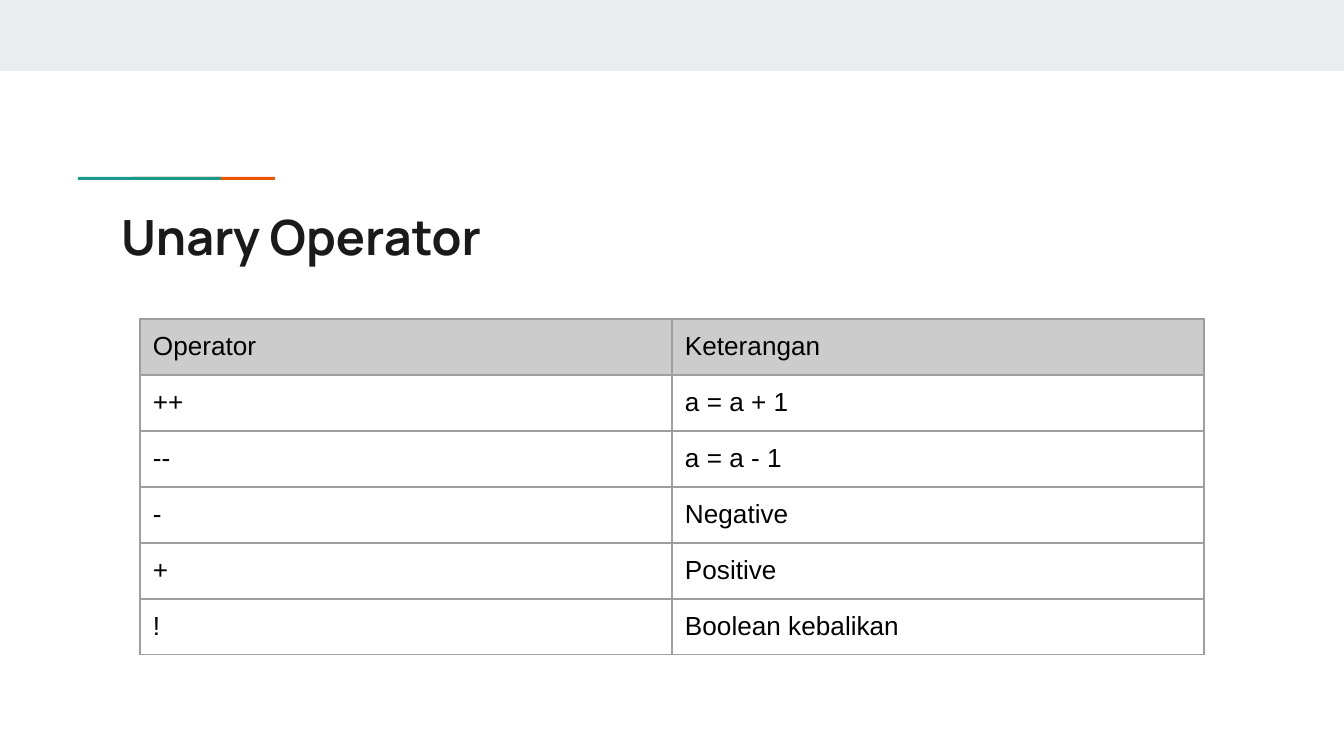
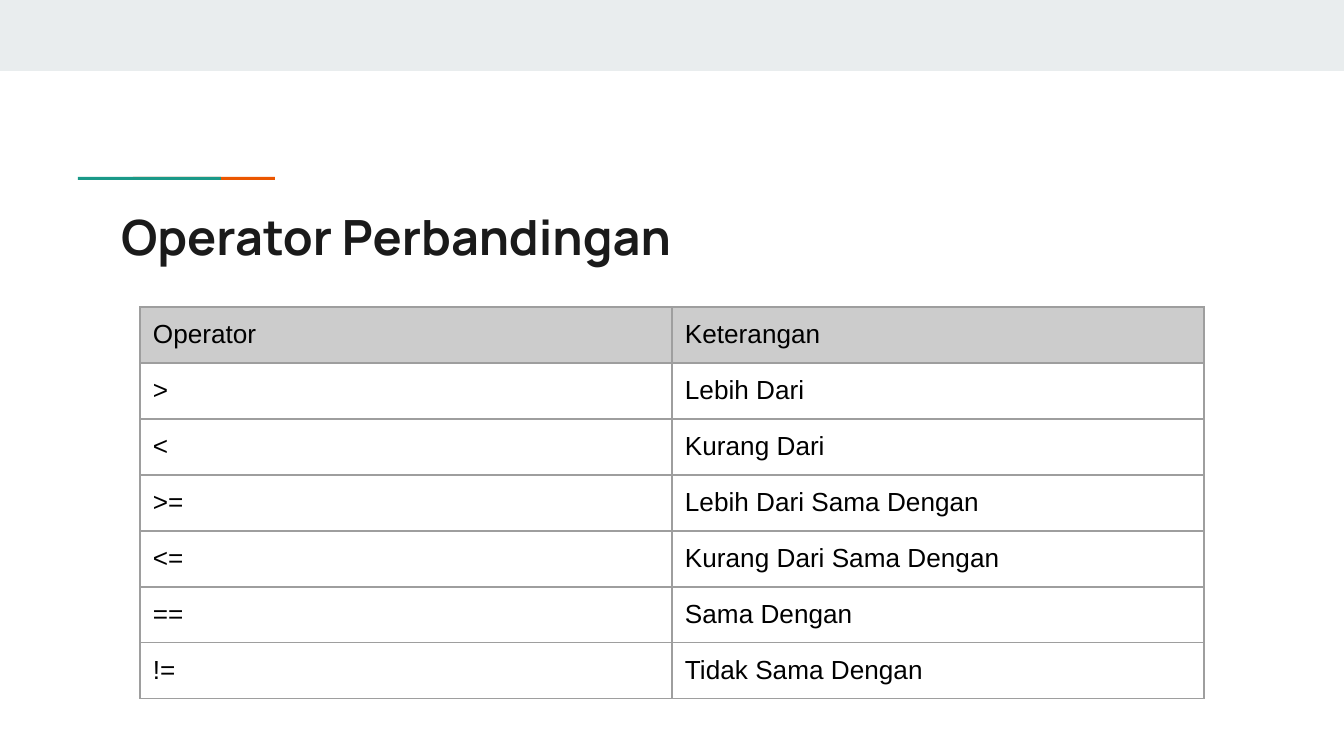
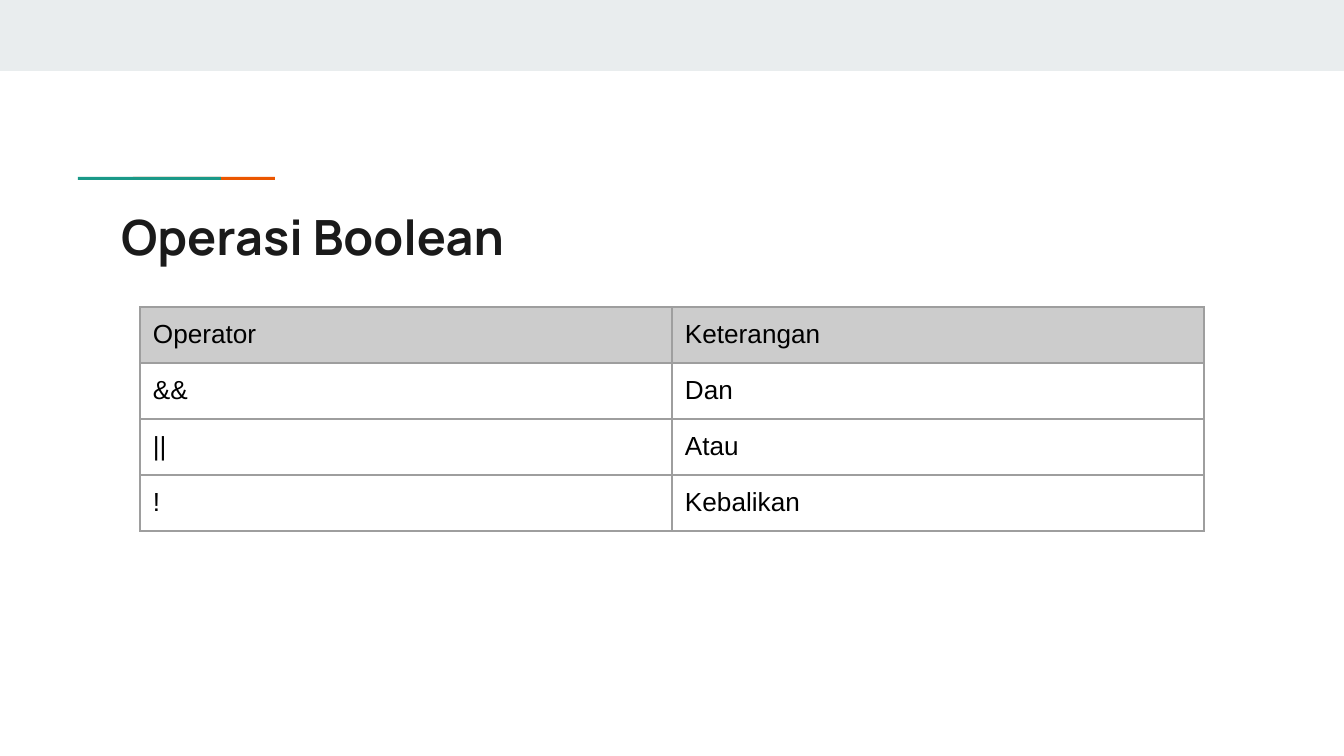
"""Build three slides of operator tables under a shared band and accent rule."""
from lxml import etree
from pptx import Presentation
from pptx.dml.color import RGBColor
from pptx.enum.shapes import MSO_SHAPE
from pptx.enum.text import MSO_ANCHOR, MSO_AUTO_SIZE, PP_ALIGN
from pptx.oxml.ns import qn
from pptx.util import Emu, Pt

RECT = MSO_SHAPE.RECTANGLE
TOP = MSO_ANCHOR.TOP
FIXED = MSO_AUTO_SIZE.NONE
LEFT = PP_ALIGN.LEFT

MIST = RGBColor(0xE9, 0xED, 0xEE)
ORANGE = RGBColor(0xEB, 0x56, 0x00)
GREEN = RGBColor(0x1A, 0x99, 0x88)
INK = RGBColor(0x1A, 0x1A, 0x1A)
BLACK = RGBColor(0x00, 0x00, 0x00)
SILVER = RGBColor(0xCC, 0xCC, 0xCC)
GREY = RGBColor(0x9E, 0x9E, 0x9E)

SCALE = 914400 / 134.4
INSET = 13
ROW = 56
COL = 532

BARS = [
    (0, 0, 1344, 71, MIST),
    (133, 177, 142, 3, ORANGE),
    (78, 177, 143, 3, GREEN),
]
HEAD = ("Operator", "Keterangan")
PAGES = [
    ("Unary Operator", 319, [
        ("++", "a = a + 1"),
        ("--", "a = a - 1"),
        ("-", "Negative"),
        ("+", "Positive"),
        ("!", "Boolean kebalikan"),
    ]),
    ("Operator Perbandingan", 307, [
        (">", "Lebih Dari"),
        ("<", "Kurang Dari"),
        (">=", "Lebih Dari Sama Dengan"),
        ("<=", "Kurang Dari Sama Dengan"),
        ("==", "Sama Dengan"),
        ("!=", "Tidak Sama Dengan"),
    ]),
    ("Operasi Boolean", 307, [
        ("&&", "Dan"),
        ("||", "Atau"),
        ("!", "Kebalikan"),
    ]),
]


def px(*nums):
    return [Emu(round(num * SCALE)) for num in nums]


def write(frame, text, face, size, color, bold=False):
    line = frame.paragraphs[0]
    line.alignment = LEFT
    run = line.add_run()
    run.text = text
    run.font.name = face
    run.font.size = Pt(size)
    run.font.bold = bold
    run.font.color.rgb = color


deck = Presentation()
deck.slide_width, deck.slide_height = px(1344, 756)
layout = deck.slide_layouts[5]
inset, height, width = px(INSET, ROW, COL)

for name, top, body in PAGES:
    slide = deck.slides.add_slide(layout)

    for *box, color in BARS:
        bar = slide.shapes.add_shape(RECT, *px(*box))
        bar.shadow.inherit = False
        bar.fill.solid()
        bar.fill.fore_color.rgb = color
        bar.line.fill.background()

    title = slide.shapes.title
    title.left, title.top, title.width, title.height = px(108, 194, 1130, 79)
    frame = title.text_frame
    frame.word_wrap = True
    frame.auto_size = FIXED
    frame.vertical_anchor = TOP
    frame.margin_left = frame.margin_right = inset
    frame.margin_top = frame.margin_bottom = inset
    write(frame, name, "Manrope", 26, INK, True)

    rows = [HEAD] + body
    box = px(140, top, 2 * COL, ROW * len(rows))
    table = slide.shapes.add_table(len(rows), 2, *box).table
    table.first_row = False
    table.horz_banding = False
    for col in table.columns:
        col.width = width

    for r, texts in enumerate(rows):
        table.rows[r].height = height
        for c, text in enumerate(texts):
            cell = table.cell(r, c)
            cell.margin_left = cell.margin_right = inset
            cell.margin_top = cell.margin_bottom = inset
            write(cell.text_frame, text, "Arial", 14, BLACK)
            if r == 0:
                cell.fill.solid()
                cell.fill.fore_color.rgb = SILVER
            else:
                cell.fill.background()
            props = cell._tc.get_or_add_tcPr()
            for i, side in enumerate(("lnL", "lnR", "lnT", "lnB")):
                edge = etree.Element(qn("a:" + side), w=str(Pt(0.75)))
                fill = etree.SubElement(edge, qn("a:solidFill"))
                etree.SubElement(fill, qn("a:srgbClr"), val=str(GREY))
                props.insert(i, edge)

deck.save("out.pptx")
